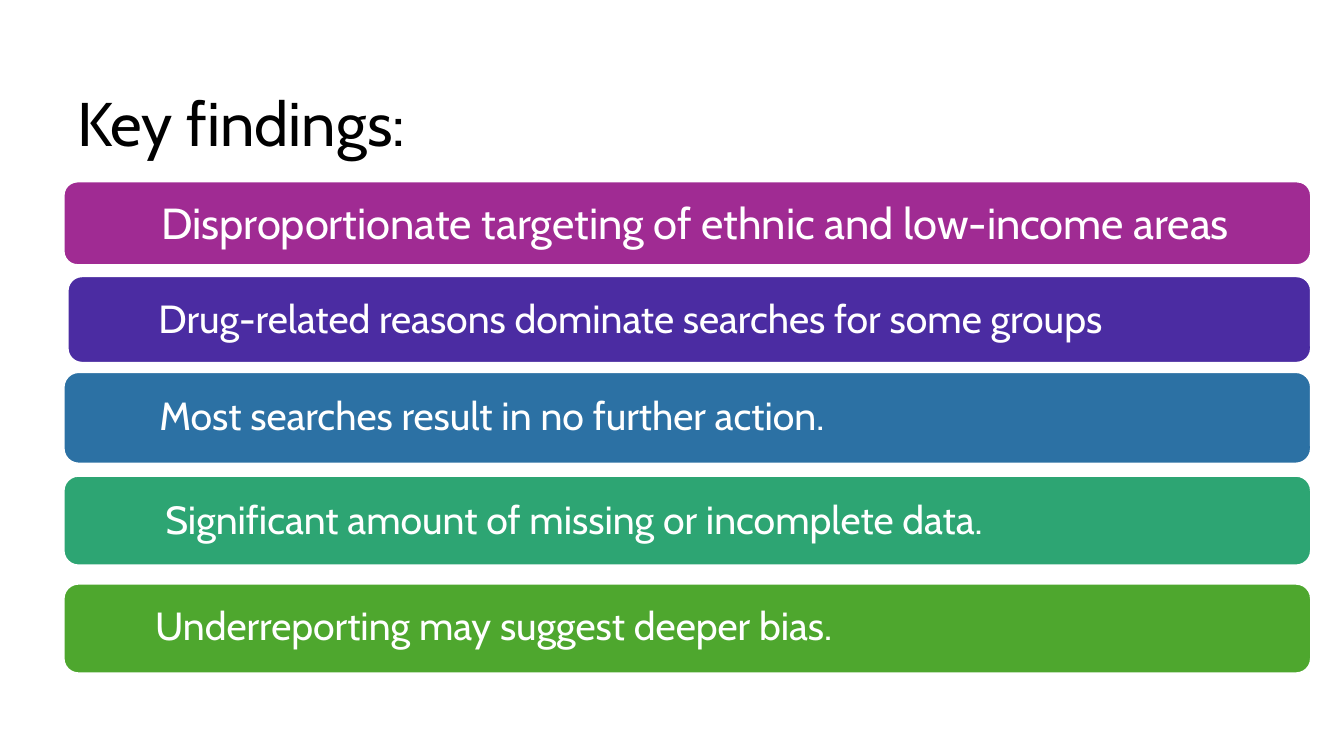
import dataclasses

import pptx
import pptx.dml.color
import pptx.enum.shapes
import pptx.enum.text
import pptx.util


@dataclasses.dataclass(frozen=True)
class Theme:
    font: str = "Cabin"
    ink: str = "000000"
    paper: str = "FFFFFF"
    purple: str = "A02B93"
    indigo: str = "4B2CA2"
    blue: str = "2C71A4"
    teal: str = "2DA573"
    green: str = "4EA72E"
    title_size: int = 44
    lead_size: int = 31
    finding_size: int = 28
    outline: float = 1.5
    line_spacing: float = 0.9


class FindingsSlide:
    """Places elements by percentages of the slide's width and height."""

    def __init__(self, deck, theme):
        self.deck = deck
        self.theme = theme
        self.slide = deck.slides.add_slide(deck.slide_layouts[6])

    def area(self, left, top, width, height):
        across, down = self.deck.slide_width / 100, self.deck.slide_height / 100
        return (round(left * across), round(top * down),
                round(width * across), round(height * down))

    def color(self, code):
        return pptx.dml.color.RGBColor.from_string(code)

    def text(self, shapes, area, wording, size, color, inset=None):
        frame = shapes.add_textbox(*self.area(*area)).text_frame
        frame.word_wrap = True
        frame.vertical_anchor = pptx.enum.text.MSO_ANCHOR.MIDDLE
        if inset is not None:
            margin = pptx.util.Inches(inset)
            frame.margin_left = frame.margin_right = margin
            frame.margin_top = frame.margin_bottom = margin
        frame.text = wording
        paragraph = frame.paragraphs[0]
        paragraph.line_spacing = self.theme.line_spacing
        font = paragraph.runs[0].font
        font.name = self.theme.font
        font.size = pptx.util.Pt(size)
        font.color.rgb = self.color(color)

    def bar(self, shapes, area, color):
        bar = shapes.add_shape(
            pptx.enum.shapes.MSO_SHAPE.ROUNDED_RECTANGLE, *self.area(*area))
        bar.shadow.inherit = False
        bar.fill.solid()
        bar.fill.fore_color.rgb = self.color(color)
        bar.line.color.rgb = self.color(self.theme.paper)
        bar.line.width = pptx.util.Pt(self.theme.outline)

    def finding(self, wording, color, size, bar_area, text_area):
        shapes = self.slide.shapes.add_group_shape().shapes
        self.bar(shapes, bar_area, color)
        self.text(shapes, text_area, wording, size, self.theme.paper, inset=0.12)


def main():
    theme = Theme()
    deck = pptx.Presentation()
    deck.slide_width = pptx.util.Inches(13.33)
    deck.slide_height = pptx.util.Inches(7.5)
    page = FindingsSlide(deck, theme)

    # Title
    page.text(page.slide.shapes, (5, 11.07, 27.5, 11.33), "Key findings:",
              theme.title_size, theme.ink)

    # Findings: wording, color, size, bar left, bar top and height,
    # text left, text top and height
    bar_right, text_right = 97.55, 96.8
    findings = [
        ("Disproportionate targeting of ethnic and low-income areas",
         theme.purple, theme.lead_size, 4.73, (24, 11.07), 11.1, (24.8, 10)),
        ("Drug-related reasons dominate searches for some groups",
         theme.indigo, theme.finding_size, 5.03, (36.53, 11.47), 10.88, (37.2, 10.4)),
        ("Most searches result in no further action.",
         theme.blue, theme.finding_size, 4.73, (49.2, 12.13), 10.95, (51.2, 8.13)),
        ("Significant amount of missing or incomplete data.",
         theme.teal, theme.finding_size, 4.73, (62.93, 11.87), 11.4, (63.73, 10.67)),
        ("Underreporting may suggest deeper bias.",
         theme.green, theme.finding_size, 4.73, (77.2, 11.87), 10.65, (77.73, 10.67)),
    ]
    for wording, color, size, bar_left, bar_rows, text_left, text_rows in findings:
        page.finding(
            wording, color, size,
            (bar_left, bar_rows[0], bar_right - bar_left, bar_rows[1]),
            (text_left, text_rows[0], text_right - text_left, text_rows[1]))

    deck.save("out.pptx")


if __name__ == "__main__":
    main()
